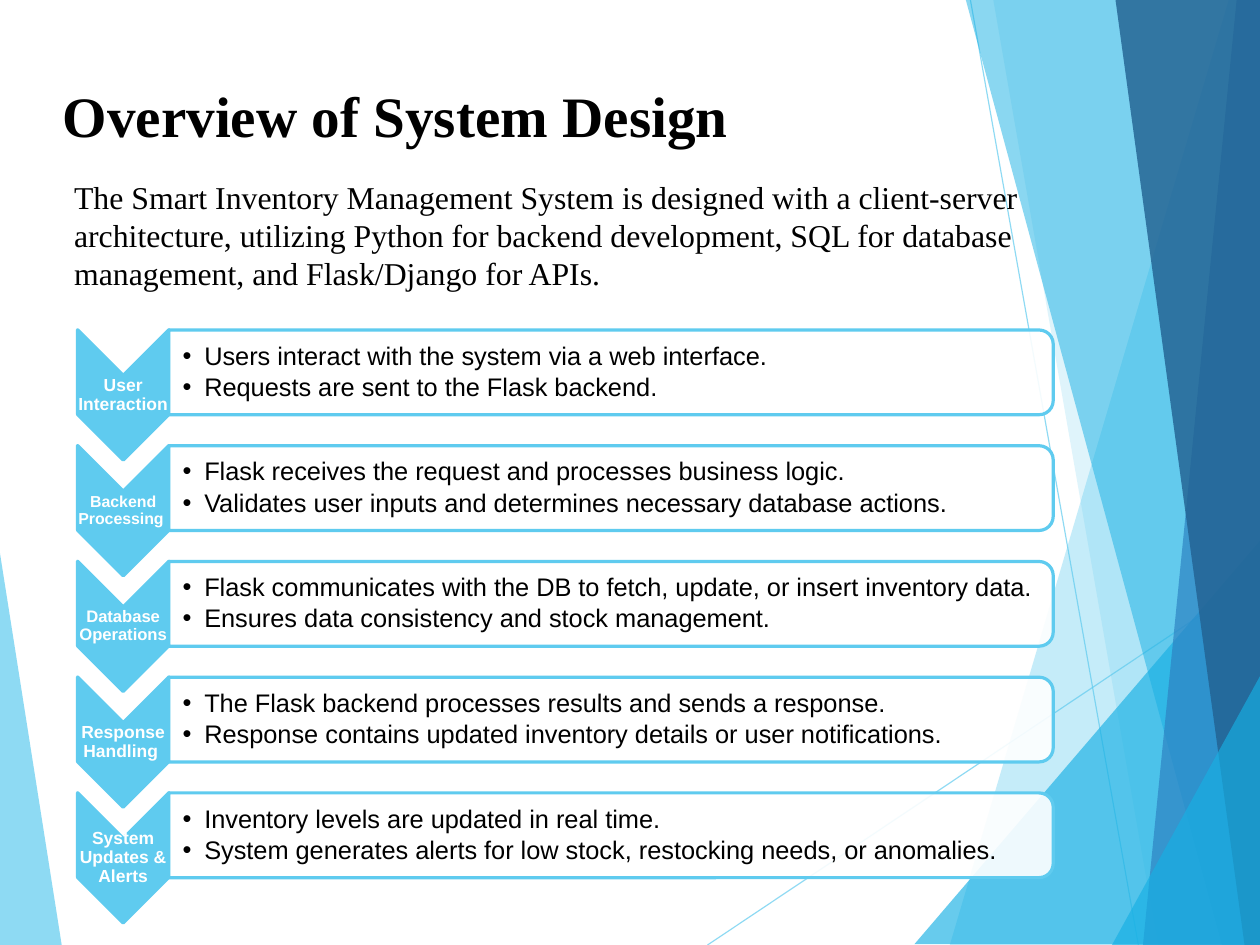
import dataclasses

import lxml.etree
import pptx
import pptx.dml.color
import pptx.enum.shapes
import pptx.enum.text
import pptx.oxml.ns
import pptx.util

Pt = pptx.util.Pt
qn = pptx.oxml.ns.qn
ALIGN = pptx.enum.text.PP_ALIGN
ANCHOR = pptx.enum.text.MSO_ANCHOR
PRESET = pptx.enum.shapes.MSO_SHAPE


@dataclasses.dataclass(frozen=True)
class Theme:
    sky: str = "5FCBEF"
    cyan: str = "17B0E4"
    blue: str = "2E83C3"
    navy: str = "236292"
    white: str = "FFFFFF"
    black: str = "000000"
    serif: str = "Times New Roman"
    sans: str = "Arial"
    title_size: float = 36
    intro_size: float = 20
    detail_size: float = 16
    label_size: float = 11
    label_medium: float = 10.5
    label_small: float = 10


THEME = Theme()
WIDTH, HEIGHT = 793.7, 595.28
ROW_TOP, ROW_PITCH = 210.6, 72.9

FACETS = [
    ([(0, 348.5), (38.9, HEIGHT), (0, HEIGHT)], THEME.sky, 70),
    ([(774, 0), (598.3, HEIGHT), (WIDTH, HEIGHT), (WIDTH, 0)], THEME.sky, 36),
    ([(625.7, 0), (729.4, HEIGHT), (WIDTH, HEIGHT), (WIDTH, 0)], THEME.sky, 20),
    ([(576, 594.8), (WIDTH, 340.6), (WIDTH, 594.8)], THEME.cyan, 65),
    ([(608.4, 0), (769.7, HEIGHT), (WIDTH, HEIGHT), (WIDTH, 0)], THEME.cyan, 50),
    ([(779, 0), (720, HEIGHT), (WIDTH, HEIGHT), (WIDTH, 0)], THEME.blue, 70),
    ([(702.7, 0), (784, HEIGHT), (WIDTH, HEIGHT), (WIDTH, 0)], THEME.navy, 82),
    ([(700.5, HEIGHT), (WIDTH, 426), (WIDTH, HEIGHT)], THEME.cyan, 65),
]
RAYS = [(445.7, HEIGHT, WIDTH, 362.5), (611.3, 0, 717.1, HEIGHT)]

INTRO = (
    "The Smart Inventory Management System is designed with a client-server "
    "architecture, utilizing Python for backend development, SQL for database "
    "management, and Flask/Django for APIs."
)
STAGES = [
    ("User Interaction", THEME.label_size, [
        "Users interact with the system via a web interface.",
        "Requests are sent to the Flask backend."]),
    ("Backend Processing ", THEME.label_small, [
        "Flask receives the request and processes business logic.",
        "Validates user inputs and determines necessary database actions."]),
    ("Database Operations ", THEME.label_medium, [
        "Flask communicates with the DB to fetch, update, or insert inventory data.",
        "Ensures data consistency and stock management."]),
    ("Response Handling ", THEME.label_size, [
        "The Flask backend processes results and sends a response.",
        "Response contains updated inventory details or user notifications."]),
    ("System Updates & Alerts", THEME.label_size, [
        "Inventory levels are updated in real time.",
        "System generates alerts for low stock, restocking needs, or anomalies."]),
]


def rgb(color):
    return pptx.dml.color.RGBColor.from_string(color)


def apply_format(target, values):
    for name, value in values.items():
        setattr(target, name, value)


def set_opacity(element, percent):
    color = element.find(".//" + qn("a:srgbClr"))
    lxml.etree.SubElement(color, qn("a:alpha")).set("val", str(percent * 1000))


def paint(shape, color, opacity=100, outline=None):
    shape.shadow.inherit = False
    shape.fill.solid()
    shape.fill.fore_color.rgb = rgb(color)
    if opacity < 100:
        set_opacity(shape._element.spPr.find(qn("a:solidFill")), opacity)
    if outline:
        shape.line.color.rgb = rgb(outline)
        shape.line.width = Pt(2)
    else:
        shape.line.fill.background()


def add_facet(slide, corners, color, opacity):
    points = [(Pt(x), Pt(y)) for x, y in corners]
    outline = slide.shapes.build_freeform(*points[0])
    outline.add_line_segments(points[1:], close=True)
    paint(outline.convert_to_shape(), color, opacity)


def add_ray(slide, ends):
    ray = slide.shapes.add_connector(
        pptx.enum.shapes.MSO_CONNECTOR.STRAIGHT, *map(Pt, ends))
    ray.line.color.rgb = rgb(THEME.sky)
    ray.line.width = Pt(0.75)
    properties = ray._element.spPr
    set_opacity(properties, 70)
    lxml.etree.SubElement(properties, qn("a:effectLst"))


def add_sideways(slide, preset, center, length, breadth, color, opacity=100):
    x, y = center
    shape = slide.shapes.add_shape(
        preset, Pt(x - length / 2), Pt(y - breadth / 2), Pt(length), Pt(breadth))
    shape.rotation = 90
    paint(shape, color, opacity, THEME.sky)


def add_bullet(paragraph):
    properties = paragraph._p.get_or_add_pPr()
    properties.set("marL", str(Pt(13.7)))
    properties.set("indent", str(-Pt(13.7)))
    color = lxml.etree.SubElement(properties, qn("a:buClr"))
    lxml.etree.SubElement(color, qn("a:srgbClr")).set("val", THEME.black)
    lxml.etree.SubElement(properties, qn("a:buFont")).set("typeface", THEME.sans)
    lxml.etree.SubElement(properties, qn("a:buChar")).set("char", "•")


def add_text(slide, place, lines, font, spacing, insets, anchor=ANCHOR.MIDDLE,
             bulleted=False):
    frame = slide.shapes.add_textbox(*map(Pt, place)).text_frame
    margins = ("margin_left", "margin_top", "margin_right", "margin_bottom")
    apply_format(frame, dict(zip(margins, map(Pt, insets))))
    apply_format(frame, {"word_wrap": True, "vertical_anchor": anchor})
    for index, line in enumerate(lines):
        paragraph = frame.add_paragraph() if index else frame.paragraphs[0]
        apply_format(paragraph, spacing)
        if bulleted:
            add_bullet(paragraph)
        run = paragraph.add_run()
        run.text = line
        color, values = font
        apply_format(run.font, values)
        run.font.color.rgb = rgb(color)


def add_stage(slide, top, label, label_size, details):
    middle = top + 24
    add_sideways(slide, PRESET.CHEVRON, (77.6, top + 38.2), 82.1, 57.5, THEME.sky)
    add_text(
        slide, (48.8, top + 26, 57.6, 24.5), [label],
        (THEME.white, {"name": THEME.sans, "size": Pt(label_size), "bold": True}),
        {"alignment": ALIGN.CENTER, "line_spacing": 0.9,
         "space_after": Pt(label_size * 0.35)},
        (0.5, 0.5, 0.5, 0.5))
    add_sideways(slide, PRESET.ROUND_2_SAME_RECTANGLE, (384.9, middle), 53.4, 557.1,
                 THEME.white, 90)
    add_text(
        slide, (106.4, top, 554.4, 48.2), details,
        (THEME.black, {"name": THEME.sans, "size": Pt(THEME.detail_size)}),
        {"level": 1, "line_spacing": 0.9, "space_after": Pt(2.4)},
        (8.6, 0.7, 0.7, 0.7), bulleted=True)


def main():
    deck = pptx.Presentation()
    apply_format(deck, {"slide_width": Pt(WIDTH), "slide_height": Pt(HEIGHT)})
    slide = deck.slides.add_slide(deck.slide_layouts[6])

    add_facet(slide, *FACETS[0])
    for ray in RAYS:
        add_ray(slide, ray)
    for facet in FACETS[1:]:
        add_facet(slide, *facet)

    add_text(
        slide, (39.6, 23.8, 714.2, 99.4), ["Overview of System Design"],
        (THEME.black, {"name": THEME.serif, "size": Pt(THEME.title_size), "bold": True}),
        {"line_spacing": 0.93}, (0, 2.2, 0, 0))
    add_text(
        slide, (39.6, 108.4, 614.9, 128.2), [INTRO],
        (THEME.black, {"name": THEME.serif, "size": Pt(THEME.intro_size)}),
        {}, (7.2, 3.6, 7.2, 3.6), ANCHOR.TOP)
    for index, stage in enumerate(STAGES):
        add_stage(slide, ROW_TOP + index * ROW_PITCH, *stage)

    deck.save("out.pptx")


if __name__ == "__main__":
    main()
